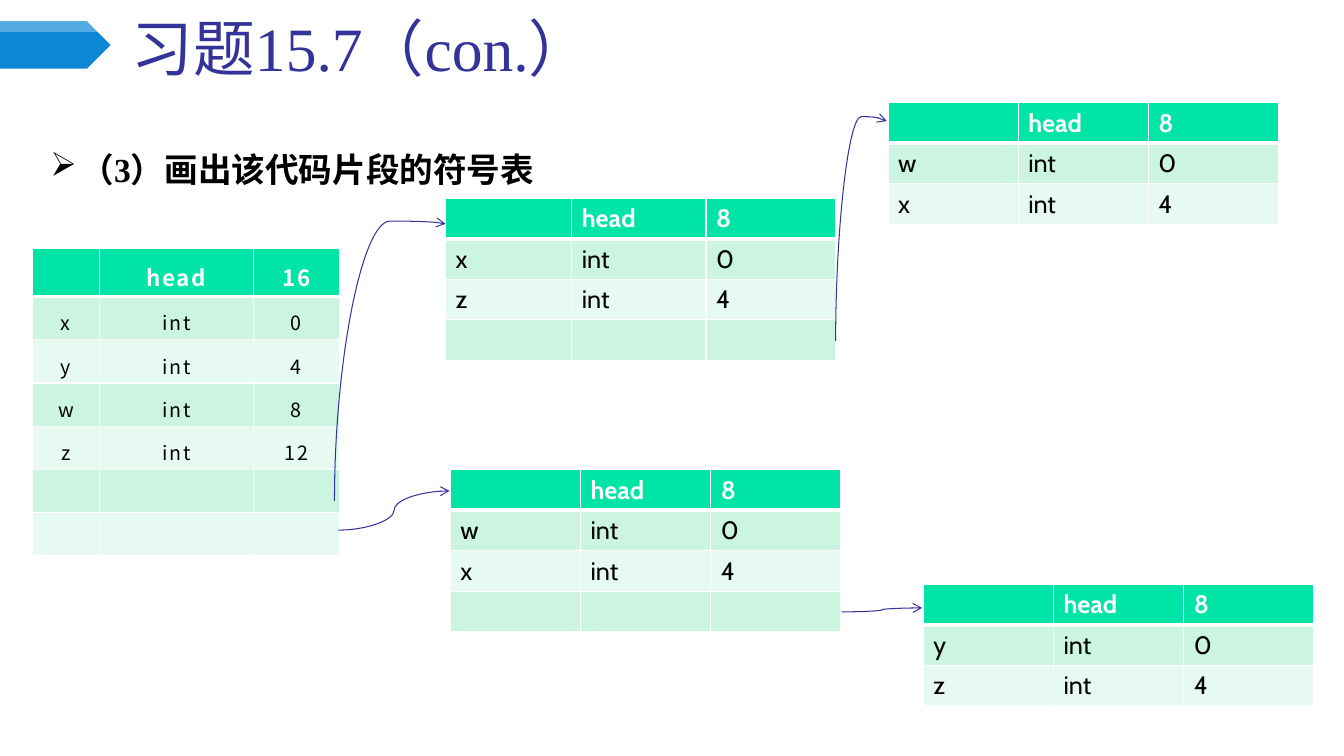
from lxml.etree import SubElement as Sub
from pptx import Presentation
from pptx.dml.color import RGBColor as Rgb
from pptx.enum.shapes import MSO_CONNECTOR as Link, MSO_SHAPE as Kind
from pptx.enum.text import MSO_ANCHOR as Anchor, PP_ALIGN as Align
from pptx.oxml.ns import qn
from pptx.util import Cm, Pt

NAVY, WHITE, BLACK = "333399", "FFFFFF", "000000"
HEAD, BANDS = "00E4A8", ("CCF5E1", "E7FAF1")
EMPTY = ("", "", "")


def color(code):
    """Turn a hex string into a colour."""
    return Rgb.from_string(code)


def style(font, name, size, code, bold=False):
    """Set the look of a font."""
    font.name, font.size, font.bold = name, Pt(size), bold
    font.color.rgb = color(code)


def banner(slide, x, y, w, h):
    """Draw the blue pointer with its pale strip."""
    for top, high, code in ((y, h, "0B87D6"), (y + 0.02, 0.25, WHITE)):
        shape = slide.shapes.add_shape(Kind.PENTAGON, Cm(x), Cm(top), Cm(w), Cm(high))
        shape.shadow.inherit = False
        shape.fill.solid()
        shape.fill.fore_color.rgb = color(code)
        shape.line.fill.background()
    tint = shape._element.spPr.find(qn("a:solidFill"))[0]
    Sub(tint, qn("a:alpha"), val="30000")


def write(slide, x, y, w, h, text, size, code, bold=False, mark=None):
    """Place one line of text, with a bullet if a mark is given."""
    frame = slide.shapes.add_textbox(Cm(x), Cm(y), Cm(w), Cm(h)).text_frame
    frame.word_wrap = True
    para = frame.paragraphs[0]
    para.text = text
    if mark:
        props = para._p.get_or_add_pPr()
        props.set("marL", str(Cm(0.76)))
        props.set("indent", str(Cm(-0.76)))
        Sub(props, qn("a:buChar"), char=mark)
        para.line_spacing = Pt(38)
    else:
        frame.vertical_anchor = Anchor.BOTTOM
    style(para.font, "Times New Roman", size, code, bold)


def edge(cell, row):
    """Draw white cell borders, thick below the header."""
    thick = {(0, "B"), (1, "T")}
    for side in "LRTB":
        wide = Pt(3 if (row, side) in thick else 1)
        line = Sub(cell._tc.get_or_add_tcPr(), qn(f"a:ln{side}"), w=str(wide))
        Sub(Sub(line, qn("a:solidFill")), qn("a:srgbClr"), val=WHITE)


def center(cell, para):
    """Give a cell the roomy, centred setting of the main table."""
    cell.margin_left = cell.margin_right = Cm(0.48)
    cell.margin_top = cell.margin_bottom = Cm(0.15)
    cell.vertical_anchor = Anchor.MIDDLE
    para.alignment, para.line_spacing = Align.CENTER, 1.2
    para.runs[0]._r.get_or_add_rPr().set("spc", "120")


def symbols(slide, x, y, cols, size, body, top=1.02, high=1.02, main=False):
    """Build a symbol table with a header row and banded entries."""
    data = [("", "head", size), *body]
    total = top + high * len(body)
    grid = slide.shapes.add_table(len(data), 3, Cm(x), Cm(y), Cm(sum(cols)), Cm(total)).table
    for col, wide in zip(grid.columns, cols):
        col.width = Cm(wide)
    for r, items in enumerate(data):
        grid.rows[r].height = Cm(high if r else top)
        for c, text in enumerate(items):
            cell = grid.cell(r, c)
            edge(cell, r)
            cell.fill.solid()
            cell.fill.fore_color.rgb = color(BANDS[(r - 1) % 2] if r else HEAD)
            if not text:
                continue
            para = cell.text_frame.paragraphs[0]
            para.text = text
            if main:
                center(cell, para)
            name = "Noto Sans CJK SC" if main else "Cabin"
            points = (14 if r else 16) if main else 18
            style(para.font, name, points, BLACK if r else WHITE, not r)


def arrow(slide, x1, y1, x2, y2, bend=0.5, rise=False):
    """Draw a curved arrow that leaves sideways, or upwards if it is to rise."""
    ends = x1, y1, x2, y2
    if rise:
        midx, midy = (x1 + x2) / 2, (y1 + y2) / 2
        dx, dy = (y1 - y2) / 2, (x2 - x1) / 2
        ends = midx - dx, midy - dy, midx + dx, midy + dy
    curve = slide.shapes.add_connector(Link.CURVE, *map(Cm, ends))
    if rise:
        curve.rotation = 270
    curve.line.color.rgb = color(NAVY)
    curve.line.width = Pt(0.75)
    props = curve._element.spPr
    Sub(props.find(qn("a:ln")), qn("a:tailEnd"), type="arrow")
    Sub(props, qn("a:effectLst"))
    shape = props.find(qn("a:prstGeom"))
    guides = shape.find(qn("a:avLst"))
    Sub(guides, qn("a:gd"), name="adj1", fmla=f"val {round(bend * 100000)}")


def main():
    """Build the slide and save it."""
    deck = Presentation()
    deck.slide_width, deck.slide_height = Cm(33.87), Cm(19.05)
    slide = deck.slides.add_slide(deck.slide_layouts[6])
    banner(slide, 0, 0.54, 2.79, 1.19)
    write(slide, 1.02, 3.3, 27.43, 1.6, "（3）画出该代码片段的符号表", 24, BLACK, True, "➢")
    write(slide, 3.07, 0.46, 30.05, 1.78, "习题15.7（con.）", 44, NAVY)

    outer = [(name, "int", str(4 * i)) for i, name in enumerate("xywz")]
    symbols(slide, 0.82, 6.25, (1.68, 3.89, 2.16), "16", outer + [EMPTY] * 2, 1.22, 1.09, True)
    even = (3.28,) * 3
    inner = (
        (11.23, 5, (3.18, 3.38, 3.28), "xz", True),
        (11.35, 11.84, even, "wx", True),
        (23.27, 14.73, even, "yz", False),
        (22.38, 2.59, even, "wx", False),
    )
    for x, y, cols, names, nest in inner:
        body = [(name, "int", str(4 * i)) for i, name in enumerate(names)]
        symbols(slide, x, y, cols, "8", body + [EMPTY] * nest)

    arrow(slide, 8.43, 12.62, 11.23, 5.64, 1.01, True)
    arrow(slide, 8.53, 13.36, 11.33, 12.37)
    arrow(slide, 21.06, 8.59, 22.35, 3.05, 1.02, True)
    arrow(slide, 21.21, 15.42, 23.24, 15.32)
    deck.save("out.pptx")


if __name__ == "__main__":
    main()
